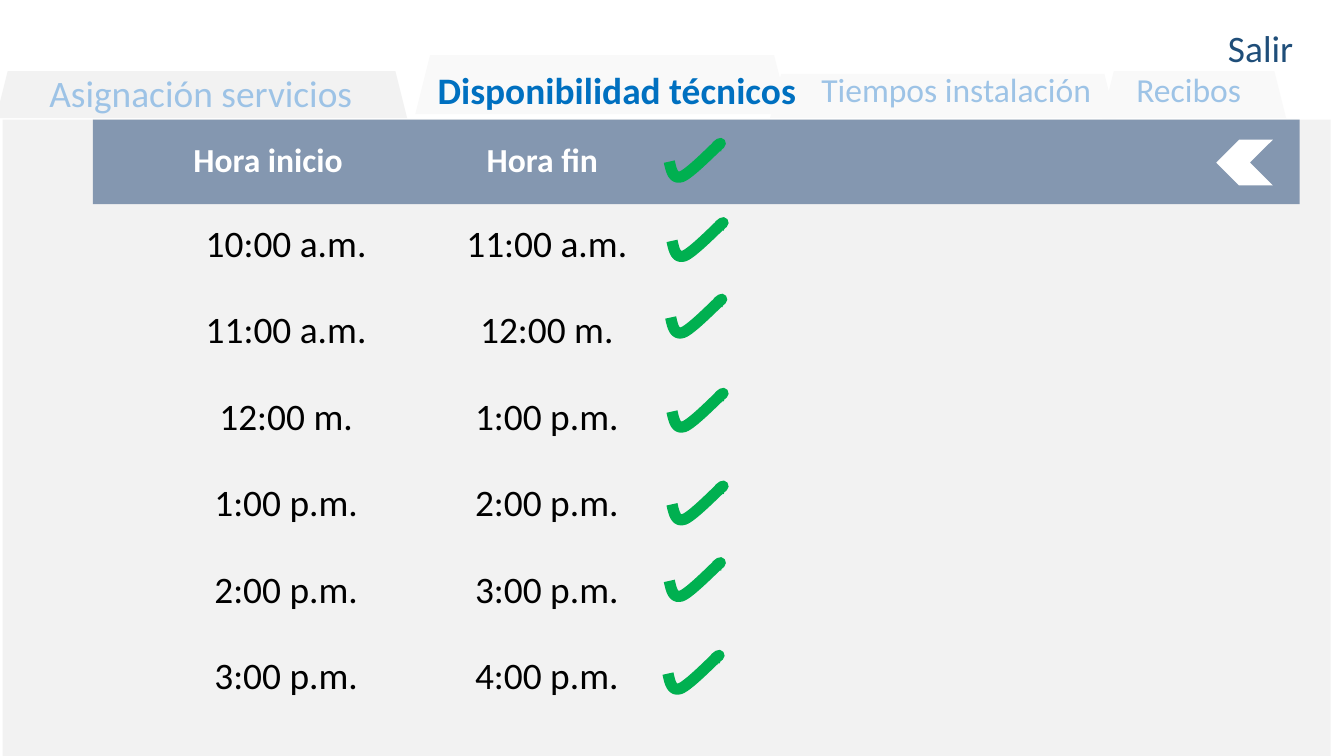
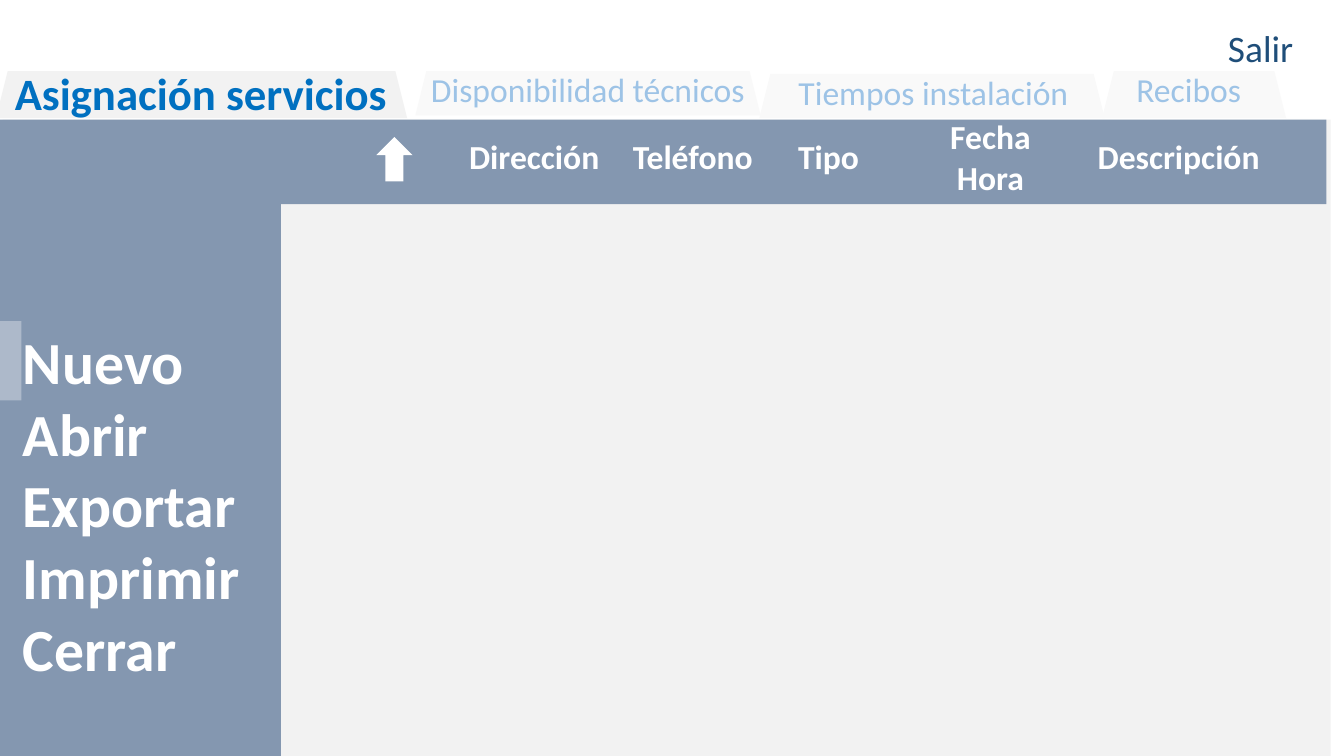
from lxml import etree
from pptx import Presentation
from pptx.dml.color import RGBColor
from pptx.enum import shapes, text
from pptx.oxml.ns import qn
from pptx.util import Cm, Pt

# Shared look
FONT = "Calibri"
WHITE, PANEL, TAB, BAND = "FFFFFF", "F2F2F2", "F9F9F9", "8497B0"
ACTIVE, INACTIVE, EXIT, GREEN, HIGHLIGHT = "0070C0", "9DC3E6", "1F4E79", "00B050", "ADB9CA"
NO_STYLE = "{2D5ABB26-0587-4C30-8999-92F81FD0307C}"
BAND_TOP, BAND_H, LABEL_H = 0.89, 0.63, 0.53

# Content; boxes are (left, top, width, height) in inches
ASSIGN, STAFF, TIMES, BILLS = ("Asignación servicios", "Disponibilidad técnicos",
                               "Tiempos instalación", "Recibos")
ASSIGN_TAB, ASSIGN_TEXT = (-0.03, 0.53, 3.06, 0.35), (-0.09, 0.44, 3.17, 0.49)
BILLS_ROW = (BILLS, (8.2, 0.53, 1.37, 0.35), (8, 0.4, 1.69, LABEL_H), TAB, 18, False)

# label, tab box, text box, fill, size, active
STAFF_TABS = [
    (ASSIGN, ASSIGN_TAB, ASSIGN_TEXT, PANEL, 20, False),
    (TIMES, (5.73, 0.55, 2.57, 0.33), (5.84, 0.4, 2.55, LABEL_H), TAB, 18, False),
    BILLS_ROW,
    (STAFF, (3.09, 0.41, 2.78, 0.44), (3.1, 0.4, 2.98, LABEL_H), TAB, 20, True),
]
ASSIGN_TABS = [
    (STAFF, (3.09, 0.53, 2.57, 0.33), (3.1, 0.4, 2.55, LABEL_H), TAB, 18, False),
    (TIMES, (5.65, 0.55, 2.57, 0.33), (5.67, 0.42, 2.55, LABEL_H), TAB, 18, False),
    BILLS_ROW,
    (ASSIGN, ASSIGN_TAB, ASSIGN_TEXT, PANEL, 24, True),
]
HOURS = ["10:00 a.m.", "11:00 a.m.", "12:00 m.", "1:00 p.m.", "2:00 p.m.",
         "3:00 p.m.", "4:00 p.m."]
HOUR_HEADS = [("Hora inicio", 1.05, 1.89), ("Hora fin", 3.09, 1.89)]
CHECKS = [(4.98, 1.07), (5, 1.66), (4.99, 2.23), (5, 2.93), (5, 3.62), (4.98, 4.19), (4.97, 4.88)]
CHECK_W, CHECK_H = 0.38, 0.25
CHECK_STEPS = [  # in thousandths of an inch
    ("moveTo", [(0, 133)]),
    ("cubicBezTo", [(15, 203), (30, 265), (90, 245)]),
    ("cubicBezTo", [(150, 225), (320, 50), (363, 12)]),
    ("cubicBezTo", [(408, -26), (350, 20), (350, 20)]),
    ("lnTo", [(350, 20)]),
    ("lnTo", [(345, 50)]),
]
SERVICE_HEADS = [("Dirección", 3.18, 1.59), ("Teléfono", 4.36, 1.59), ("Tipo", 5.65, 1.03),
                 ("Fecha\nHora", 6.8, 1.14), ("Descripción", 7.97, 1.6)]
MENU = ["Nuevo", "Abrir", "Exportar", "Imprimir", "Cerrar"]


def inch(n):
    return Cm(n * 2.54)


def rgb(value):
    return RGBColor.from_string(value)


def add_block(s, kind, box, fill):
    sp = s.shapes.add_shape(kind, *map(inch, box))
    sp.shadow.inherit = False
    sp.fill.solid()
    sp.fill.fore_color.rgb = rgb(fill)
    sp.line.fill.background()
    return sp


def style(tf, size, color, bold=False, align=text.PP_ALIGN.CENTER):
    for p in tf.paragraphs:
        p.alignment = align
        for r in p.runs:
            r.font.name, r.font.size, r.font.bold = FONT, Pt(size), bold
            r.font.color.rgb = rgb(color)


def add_label(s, box, words, size, color, bold=False, align=text.PP_ALIGN.CENTER):
    tf = s.shapes.add_textbox(*map(inch, box)).text_frame
    tf.word_wrap = True
    tf.vertical_anchor = text.MSO_ANCHOR.MIDDLE
    tf.text = words
    style(tf, size, color, bold, align)
    return tf


def add_screen(prs, tabs, band_left, band_width):
    """Panel, header band, exit label and tabs."""
    s = prs.slides.add_slide(prs.slide_layouts[6])
    rect = shapes.MSO_SHAPE.RECTANGLE
    add_block(s, rect, (0.02, BAND_TOP, 9.88, 4.74), PANEL)
    if band_left:
        add_block(s, rect, (band_left, BAND_TOP, band_width, 4.74), PANEL)
    add_block(s, rect, (band_left, BAND_TOP, band_width, BAND_H), BAND)
    add_label(s, (8.85, 0.09, 1.06, LABEL_H), "Salir", 20, EXIT)
    for words, tab_box, text_box, fill, size, active in tabs:
        add_block(s, shapes.MSO_SHAPE.TRAPEZOID, tab_box, fill)
        add_label(s, text_box, words, size, ACTIVE if active else INACTIVE, active)
    return s


def add_heads(s, heads, top):
    for words, left, width in heads:
        add_label(s, (left, top, width, LABEL_H), words, 18, WHITE, True)


def add_check(s, left, top):
    builder = s.shapes.build_freeform(inch(left), inch(top))
    builder.add_line_segments([(inch(left + CHECK_W), inch(top + CHECK_H))], close=False)
    sp = builder.convert_to_shape()
    # Swap the diagonal for the curved tick
    outline = sp._element.find(".//" + qn("a:pathLst"))[0]
    for child in list(outline):
        outline.remove(child)
    outline.set("w", str(round(CHECK_W * 1000)))
    outline.set("h", str(round(CHECK_H * 1000)))
    for step, points in CHECK_STEPS:
        node = etree.SubElement(outline, qn("a:" + step))
        for x, y in points:
            etree.SubElement(node, qn("a:pt"), x=str(x), y=str(y))
    sp.shadow.inherit = False
    sp.fill.background()
    sp.line.color.rgb = rgb(GREEN)
    sp.line.width = Pt(6)


def add_hours(s):
    rows = list(zip(HOURS, HOURS[1:]))
    box = (1.16, 1.6, 3.88, 3.86)
    table = s.shapes.add_table(len(rows), 2, *map(inch, box)).table
    table.first_row = table.horz_banding = False
    table._tbl.tblPr.find(qn("a:tableStyleId")).text = NO_STYLE
    for i, row in enumerate(rows):
        for j, hour in enumerate(row):
            cell = table.cell(i, j)
            cell.fill.background()
            cell.text = hour
            style(cell.text_frame, 20, "000000")


def build_staff(prs):
    s = add_screen(prs, STAFF_TABS, 0.69, 8.98)
    add_heads(s, HOUR_HEADS, 0.92)
    add_hours(s)
    back = add_block(s, shapes.MSO_SHAPE.CHEVRON, (9.05, 1.04, 0.42, 0.34), WHITE)
    back.rotation = 180
    for left, top in CHECKS:
        add_check(s, left, top)


def build_assign(prs):
    s = add_screen(prs, ASSIGN_TABS, 0, 9.87)
    add_heads(s, SERVICE_HEADS, 0.9)
    add_block(s, shapes.MSO_SHAPE.UP_ARROW, (2.8, 1.02, 0.27, 0.33), WHITE)

    # Side menu
    rect = shapes.MSO_SHAPE.RECTANGLE
    add_block(s, rect, (-0.01, 1.5, 2.1, 4.16), BAND)
    tf = add_label(s, (-0.03, 1.54, 2.01, 4.09), "\n".join(MENU), 32, WHITE, True,
                   text.PP_ALIGN.LEFT)
    tf.margin_left, tf.margin_top = inch(0.2), inch(0.38)
    add_block(s, rect, (-0.03, 2.39, 0.19, 0.59), HIGHLIGHT)


def main():
    prs = Presentation()
    prs.slide_width, prs.slide_height = Cm(25.4), Cm(14.29)
    build_staff(prs)
    build_assign(prs)
    prs.save("out.pptx")


if __name__ == "__main__":
    main()
